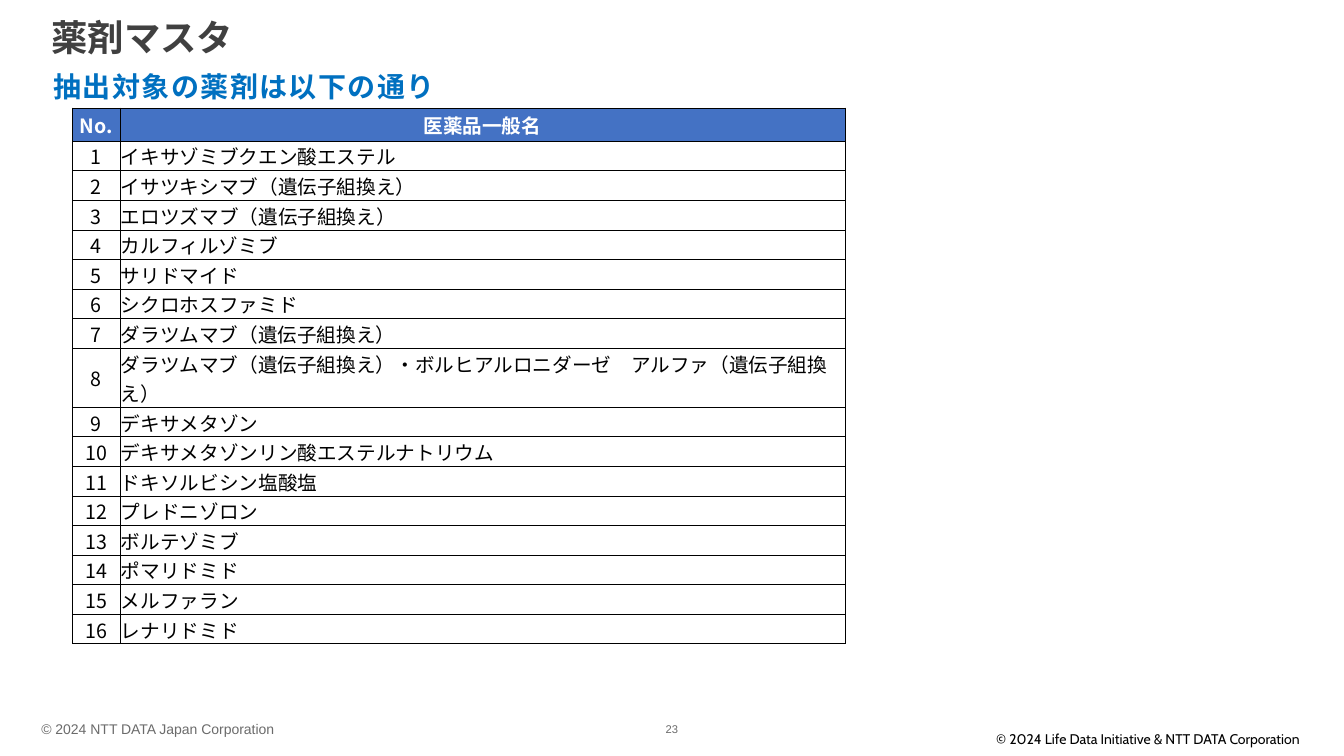
"""Build the drug master slide with its table of generic names."""
from dataclasses import dataclass, field
from typing import Any

from lxml.etree import SubElement
from pptx import Presentation
from pptx.dml.color import RGBColor
from pptx.enum.text import MSO_ANCHOR, PP_ALIGN
from pptx.oxml.ns import qn
from pptx.util import Inches, Pt

NOTO = "Noto Sans CJK JP"
BLACK, WHITE, BLUE, GREY = "000000", "FFFFFF", "4472C4", "6B6B6B"
LEFT, MID, RIGHT = PP_ALIGN.LEFT, PP_ALIGN.CENTER, PP_ALIGN.RIGHT
TOP, CENTER = MSO_ANCHOR.TOP, MSO_ANCHOR.MIDDLE
DRUGS = [
    "イキサゾミブクエン酸エステル",
    "イサツキシマブ（遺伝子組換え）",
    "エロツズマブ（遺伝子組換え）",
    "カルフィルゾミブ",
    "サリドマイド",
    "シクロホスファミド",
    "ダラツムマブ（遺伝子組換え）",
    "ダラツムマブ（遺伝子組換え）・ボルヒアルロニダーゼ　アルファ（遺伝子組換え）",
    "デキサメタゾン",
    "デキサメタゾンリン酸エステルナトリウム",
    "ドキソルビシン塩酸塩",
    "プレドニゾロン",
    "ボルテゾミブ",
    "ポマリドミド",
    "メルファラン",
    "レナリドミド",
]
WRAP = 30
SPANS = [2 if len(drug) > WRAP else 1 for drug in DRUGS]
TALL, HEAD = 5.32, 0.33
ROW = (TALL - HEAD) / sum(SPANS)


@dataclass
class Style:
    """Hold the look of one piece of text."""
    size: float
    color: str
    name: str = NOTO
    bold: bool = False
    align: Any = LEFT
    track: int = 0
    lines: float | None = None


@dataclass
class Label:
    """Hold one text box with its place and frame."""
    text: str
    place: tuple[float, float, float, float]
    style: Style
    inset: tuple[float, float, float, float] = (0, 0, 0, 0)
    frame: dict[str, Any] = field(default_factory=dict)


LABELS = [
    Label("© 2024 NTT DATA Japan Corporation", (0.41, 7.18, 5.31, 0.1),
          Style(10, GREY, "Arial"), frame={"vertical_anchor": CENTER}),
    Label("© 2024 Life Data Initiative & NTT DATA Corporation", (9.66, 7.2, 3.23, 0.27),
          Style(10, BLACK, "Cabin", align=RIGHT), (0, 0.05, 0, 0.05), {"word_wrap": False}),
    Label("23", (6.5, 7.18, 0.33, 0.1),
          Style(8, GREY, "Arial", align=MID), frame={"vertical_anchor": CENTER}),
    Label("薬剤マスタ", (0.41, 0.15, 12.52, 0.44),
          Style(26, "404040", bold=True), (0.1, 0, 0.1, 0)),
    Label("抽出対象の薬剤は以下の通り", (0.53, 0.51, 12.36, 1.01),
          Style(20, "0070C0", bold=True, track=100, lines=1.3), (0, 0.08, 0.08, 0.08)),
]


def paint(text: str) -> RGBColor:
    """Turn a hex string into a colour."""
    return RGBColor.from_string(text)


def apply(target: Any, values: dict[str, Any]) -> None:
    """Set each named value on the target."""
    for name, value in values.items():
        setattr(target, name, value)


def pad(target: Any, inset: tuple[float, float, float, float]) -> None:
    """Set the four margins of a frame or cell."""
    sides = ("left", "top", "right", "bottom")
    apply(target, {f"margin_{side}": Inches(gap) for side, gap in zip(sides, inset)})


def write(frame: Any, text: str, style: Style) -> None:
    """Put one styled line of text in the frame."""
    line = frame.paragraphs[0]
    apply(line, {"alignment": style.align, "line_spacing": style.lines})
    run = line.add_run()
    run.text = text
    apply(run.font, {"size": Pt(style.size), "bold": style.bold, "name": style.name})
    run.font.color.rgb = paint(style.color)
    props = run._r.get_or_add_rPr()
    SubElement(props, qn("a:ea"), typeface=style.name)
    if style.track:
        props.set("spc", str(style.track))


def draw_label(slide: Any, label: Label) -> None:
    """Draw one text box."""
    frame = slide.shapes.add_textbox(*map(Inches, label.place)).text_frame
    apply(frame, {"word_wrap": True, "vertical_anchor": TOP} | label.frame)
    pad(frame, label.inset)
    write(frame, label.text, label.style)


def edge(cell: Any) -> None:
    """Give a cell thin black borders."""
    props = cell._tc.get_or_add_tcPr()
    for side in ("lnL", "lnR", "lnT", "lnB"):
        line = SubElement(props, qn(f"a:{side}"), w=str(Pt(0.5)))
        SubElement(SubElement(line, qn("a:solidFill")), qn("a:srgbClr"), val=BLACK)


def draw_cell(cell: Any, text: str, style: Style, fill: str | None) -> None:
    """Draw one table cell."""
    edge(cell)
    cell.vertical_anchor = CENTER
    pad(cell, (0.01, 0.01, 0.01, 0))
    if fill:
        cell.fill.solid()
        cell.fill.fore_color.rgb = paint(fill)
    else:
        cell.fill.background()
    write(cell.text_frame, text, style)


def draw_table(slide: Any) -> None:
    """Draw the numbered table of drugs."""
    place = map(Inches, (0.72, 1.07, 7.66, TALL))
    table = slide.shapes.add_table(len(DRUGS) + 1, 2, *place).table
    table.horz_banding = False
    for column, width in zip(table.columns, (0.47, 7.19)):
        column.width = Inches(width)
    for row, height in zip(table.rows, [HEAD, *(ROW * span for span in SPANS)]):
        row.height = Inches(height)
    head = Style(14, WHITE, bold=True, align=MID)
    count, body = Style(14, BLACK, align=MID), Style(14, BLACK)
    rows = [("No.", "医薬品一般名"), *((str(i), drug) for i, drug in enumerate(DRUGS, 1))]
    for i, texts in enumerate(rows):
        looks = ((count, None), (body, WHITE)) if i else ((head, BLUE),) * 2
        for j, (text, (style, fill)) in enumerate(zip(texts, looks)):
            draw_cell(table.cell(i, j), text, style, fill)


def main() -> None:
    """Build and save the deck."""
    deck = Presentation()
    apply(deck, {"slide_width": Inches(13.33), "slide_height": Inches(7.5)})
    slide = deck.slides.add_slide(deck.slide_layouts[6])
    for label in LABELS:
        draw_label(slide, label)
    draw_table(slide)
    deck.save("out.pptx")


if __name__ == "__main__":
    main()
